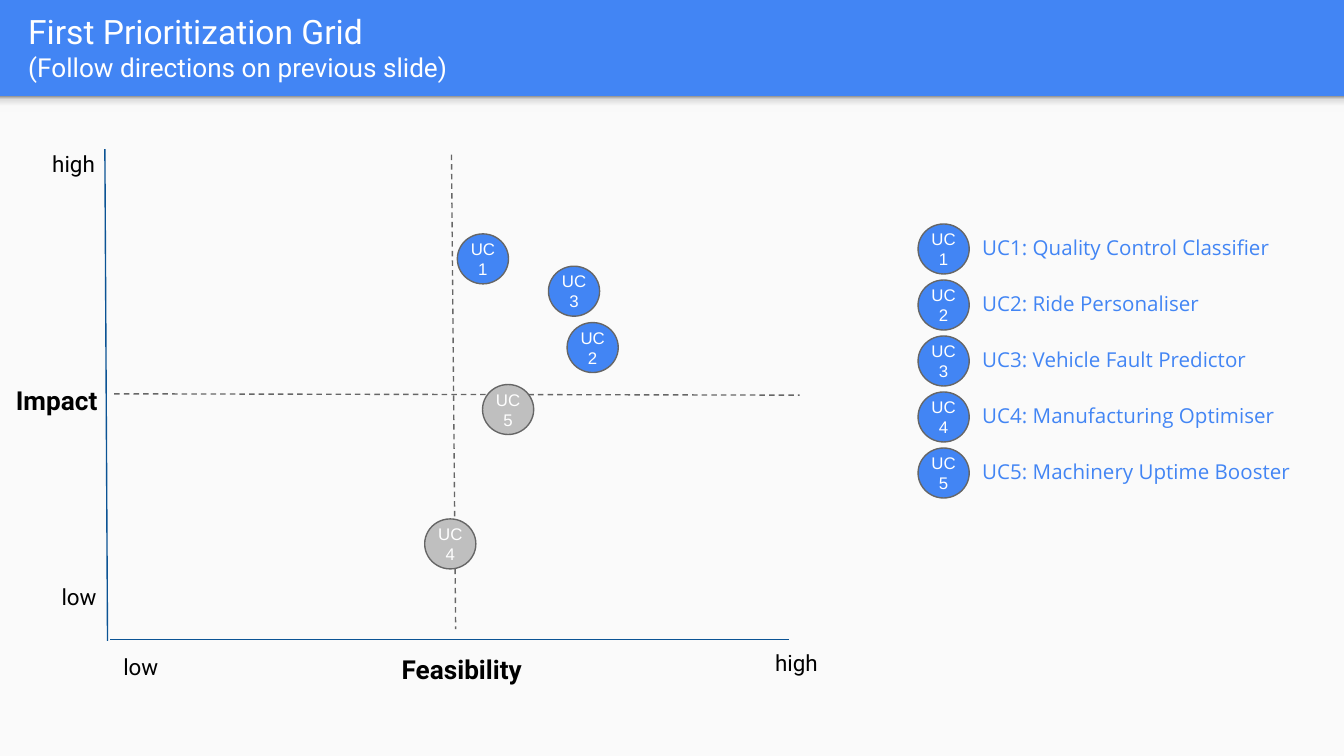
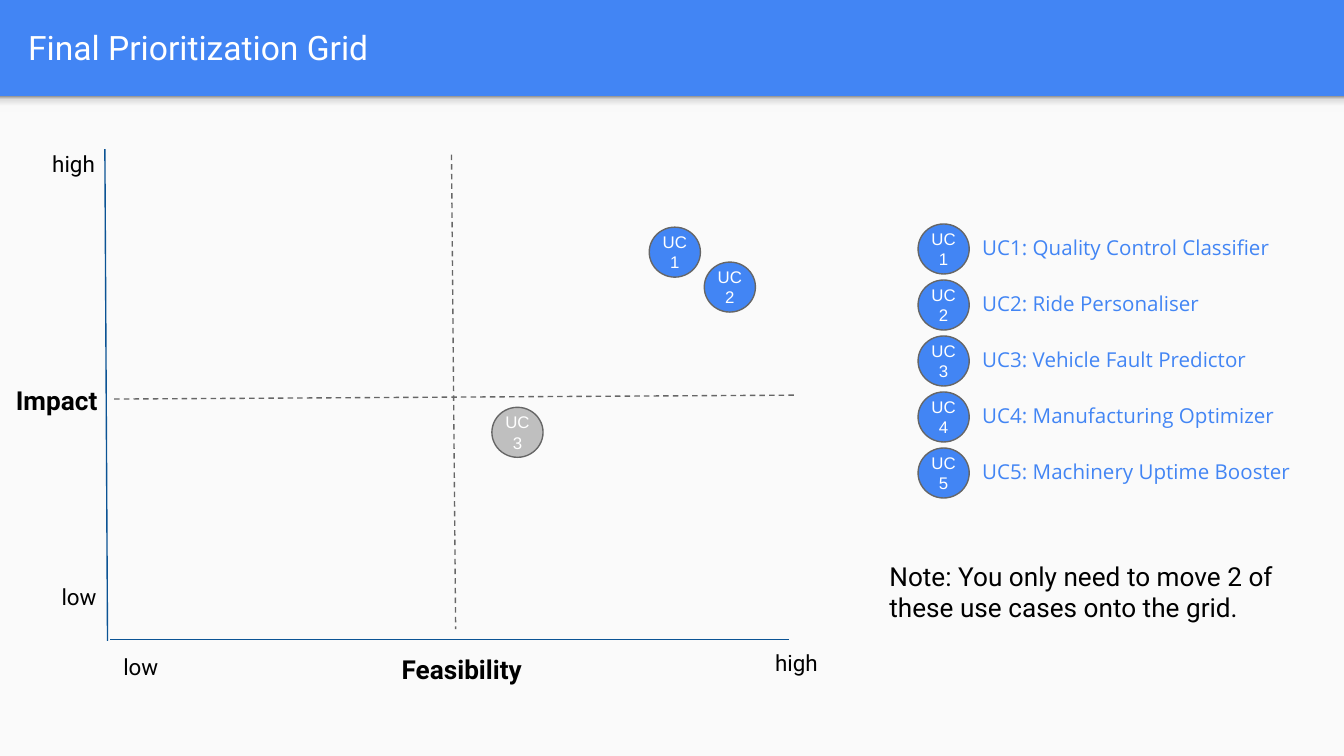
import copy

import lxml.etree
import pptx
import pptx.dml.color
import pptx.enum.dml
import pptx.enum.shapes
import pptx.enum.text
import pptx.util

BLUE, GREY, PALE = "4285F4", "BFBFBF", "FAFAFA"
NAVY, SLATE, WHITE, BLACK = "0B5394", "666666", "FFFFFF", "000000"
EFFECTS = "{http://schemas.openxmlformats.org/drawingml/2006/main}effectLst"
LEFT = pptx.enum.text.PP_ALIGN.LEFT
MID = pptx.enum.text.PP_ALIGN.CENTER
SHAPE = pptx.enum.shapes.MSO_SHAPE
DASH = pptx.enum.dml.MSO_LINE.DASH


def tint(code):
    return pptx.dml.color.RGBColor.from_string(code)


def write(frame, paras, color, font="Roboto", bold=False, align=LEFT, inset=7.2):
    """Fill a frame with (text, size) paragraphs; a newline is a line break."""
    frame.word_wrap = True
    frame.margin_left = frame.margin_right = pptx.util.Pt(inset)
    frame.margin_top = frame.margin_bottom = pptx.util.Pt(inset)
    for i, (text, size) in enumerate(paras):
        para = frame.add_paragraph() if i else frame.paragraphs[0]
        para.alignment = align
        for j, part in enumerate(text.split("\n")):
            if j:
                para.add_line_break()
            run = para.add_run()
            run.text = part
            run.font.name = font
            run.font.size = pptx.util.Pt(size)
            run.font.bold = bold
            run.font.color.rgb = tint(color)


labels = [  # text, size, bold, align, box
    ("Impact", 14, True, LEFT, (1.4, 198.7, 60, 32.4)),
    ("Feasibility", 14, True, MID, (122.4, 342.7, 250, 32.4)),
    ("high", 12, False, LEFT, (20.9, 75.6, 59, 12.2)),
    ("low", 12, False, LEFT, (59, 342.7, 48.2, 17.3)),
    ("low", 12, False, LEFT, (25.9, 305.3, 48.2, 17.3)),
    ("high", 12, False, LEFT, (408.2, 342.7, 59, 12.2)),
]
lines = [  # ends, color, dash
    ((241.9, 82.8, 244.1, 337), SLATE, DASH),
    ((56.2, 79.9, 57.6, 343.4), NAVY, None),
    ((422.6, 342.7, 59, 342.7), NAVY, None),
]
pages = [
    {
        "title": [("First Prioritization Grid", 18),
                  ("(Follow directions on previous slide)", 14)],
        "level": (61.2, 211, 428.4, 211.7),
        "group": False,
        "fourth": "Manufacturing Optimiser",
        "spots": [(1, 245, 125.3, BLUE), (5, 258.5, 206, GREY),
                  (3, 293.8, 142.6, BLUE), (4, 227.5, 278, GREY),
                  (2, 303.8, 172.8, BLUE)],
        "note": None,
    },
    {
        "title": [("Final Prioritization Grid", 18)],
        "level": (61.2, 213.8, 425.5, 211.7),
        "group": True,
        "fourth": "Manufacturing Optimizer",
        "spots": [(1, 347.8, 121.7, BLUE), (3, 263.5, 218.2, GREY),
                  (2, 377.3, 140.4, BLUE)],
        "note": "Note: You only need to move 2 of these use cases onto the grid.",
    },
]

deck = pptx.Presentation()
deck.slide_width = pptx.util.Pt(720)
deck.slide_height = pptx.util.Pt(405)

# Layout: blue ground, title bar, pale body and its soft top edge
layout = deck.slide_layouts[5]
layout.background.fill.solid()
layout.background.fill.fore_color.rgb = tint(BLUE)
for holder in list(layout.placeholders)[1:]:
    holder.element.getparent().remove(holder.element)
head = layout.placeholders[0]
head.left, head.top, head.width, head.height = map(
    pptx.util.Pt, (7.9, 1.4, 694.8, 47.5))
head.text_frame.vertical_anchor = pptx.enum.text.MSO_ANCHOR.MIDDLE
head.text_frame.auto_size = pptx.enum.text.MSO_AUTO_SIZE.NONE

first = deck.slides.add_slide(layout)
body = first.shapes.add_shape(
    SHAPE.RECTANGLE, *map(pptx.util.Pt, (0, 51.6, 720, 353.4)))
body.fill.solid()
body.fill.fore_color.rgb = tint(PALE)
edge = first.shapes.add_shape(
    SHAPE.RECTANGLE, *map(pptx.util.Pt, (0, 51.6, 720, 8.6)))
edge.fill.gradient()
edge.fill.gradient_angle = 90
stops = edge.element.xpath(".//a:gsLst")[0]
for stop in list(stops):
    stops.append(copy.deepcopy(stop))
fade = [(0, "F9F9F9"), (0.36, "F9F9F9"), (0.8, "DEDEDE"), (1, "999999")]
for stop, (place, code) in zip(edge.fill.gradient_stops, fade):
    stop.position = place
    stop.color.rgb = tint(code)
for i, band in enumerate((body, edge)):
    band.shadow.inherit = False
    band.line.fill.background()
    band.element.xpath("./p:nvSpPr/p:cNvPr")[0].set("id", str(20 + i))
    layout.shapes.element.insert(2 + i, band.element)

for page in pages:
    slide = first if page is pages[0] else deck.slides.add_slide(layout)
    shapes = slide.shapes
    write(shapes.title.text_frame, page["title"], WHITE)

    # Axes, dashed midlines and axis labels
    grid = shapes.add_group_shape().shapes if page["group"] else shapes
    for ends, color, dash in [(page["level"], SLATE, DASH)] + lines:
        rule = grid.add_connector(
            pptx.enum.shapes.MSO_CONNECTOR.STRAIGHT, *map(pptx.util.Pt, ends))
        rule.line.color.rgb = tint(color)
        rule.line.width = pptx.util.Pt(0.75)
        if dash:
            rule.line.dash_style = dash
        lxml.etree.SubElement(rule.element.spPr, EFFECTS)
    for text, size, bold, align, box in labels:
        label = grid.add_textbox(*map(pptx.util.Pt, box))
        write(label.text_frame, [(text, size)], BLACK, bold=bold, align=align)

    # Legend beside the grid
    cases = ["Quality Control Classifier", "Ride Personaliser",
             "Vehicle Fault Predictor", page["fourth"],
             "Machinery Uptime Booster"]
    dots = []
    for i, case in enumerate(cases):
        dots.append((i + 1, 491.8, 120 + 30 * i, BLUE))
        item = shapes.add_textbox(
            *map(pptx.util.Pt, (519.1, 119.5 + 29.9 * i, 195.8, 32.4)))
        write(item.text_frame, [(f"UC{i + 1}: {case}", 11)], BLUE, "Open Sans")

    # Circles of the legend and on the grid
    for num, left, top, color in dots + page["spots"]:
        dot = shapes.add_shape(
            SHAPE.OVAL, *map(pptx.util.Pt, (left, top, 27.4, 26.8)))
        dot.shadow.inherit = False
        dot.fill.solid()
        dot.fill.fore_color.rgb = tint(color)
        dot.line.color.rgb = tint(SLATE)
        dot.line.width = pptx.util.Pt(0.75)
        dot.text_frame.vertical_anchor = pptx.enum.text.MSO_ANCHOR.MIDDLE
        write(dot.text_frame, [(f"UC\n{num}", 9)], WHITE, "Arial",
              align=MID, inset=0)

    if page["note"]:
        note = shapes.add_textbox(*map(pptx.util.Pt, (469.4, 293, 233.3, 86.4)))
        write(note.text_frame, [(page["note"], 14)], BLACK)

deck.save("out.pptx")
